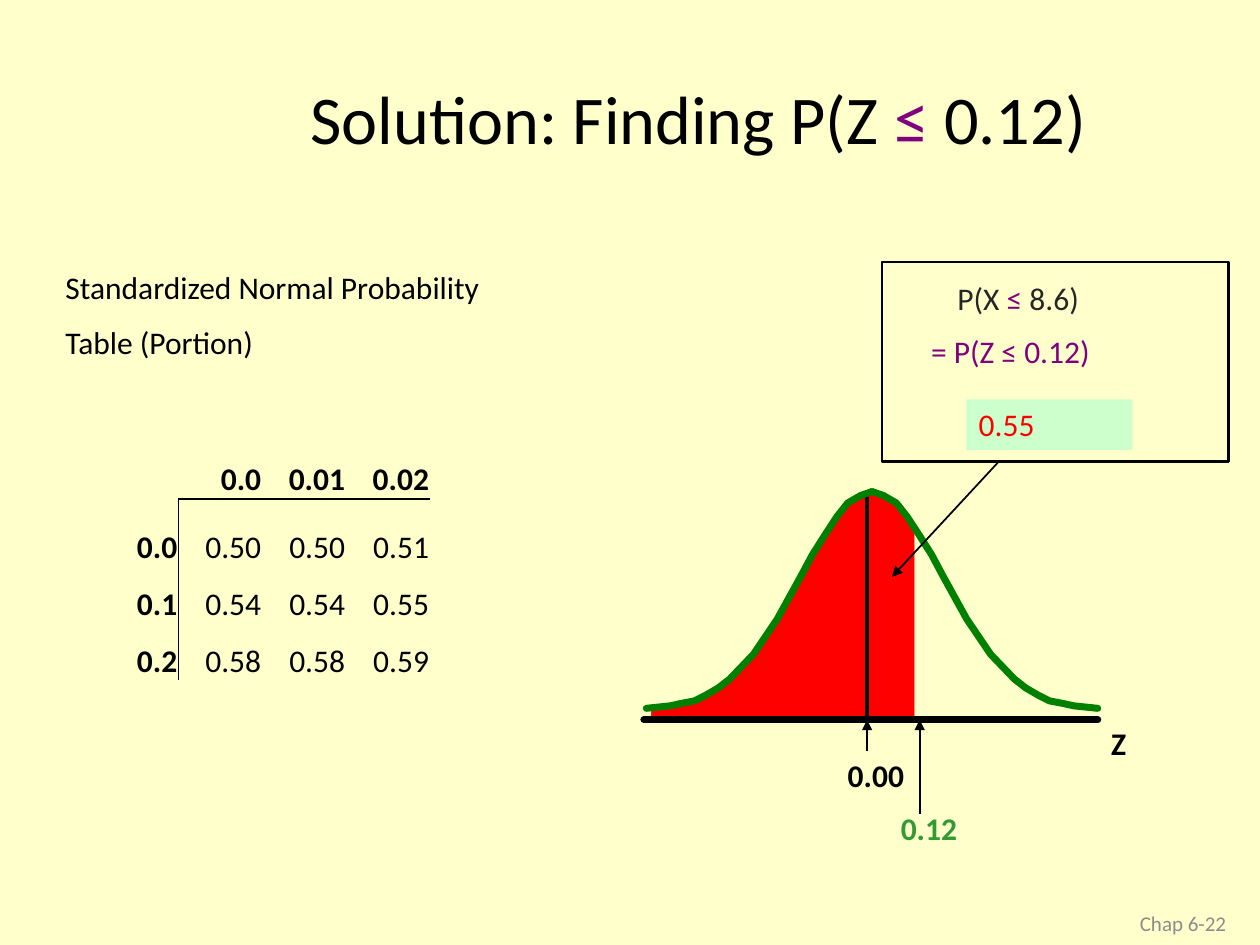
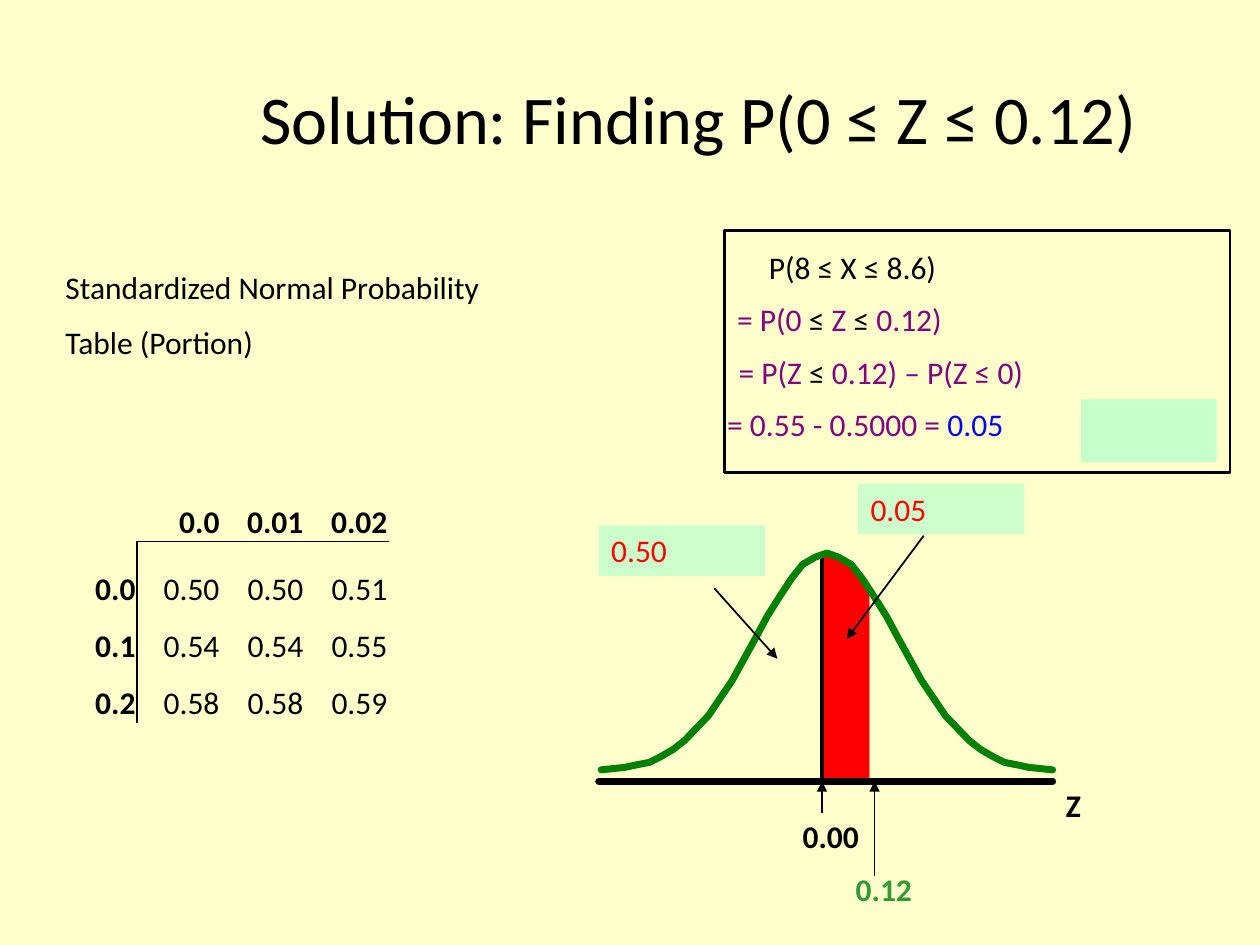
from dataclasses import dataclass

from lxml import etree
from pptx import Presentation
from pptx.dml.color import RGBColor
from pptx.enum.shapes import MSO_CONNECTOR, MSO_SHAPE
from pptx.enum.text import MSO_ANCHOR, PP_ALIGN
from pptx.oxml.ns import qn
from pptx.util import Cm, Pt

LEFT, CENTER, RIGHT = PP_ALIGN.LEFT, PP_ALIGN.CENTER, PP_ALIGN.RIGHT
TOP, MIDDLE, BOTTOM = MSO_ANCHOR.TOP, MSO_ANCHOR.MIDDLE, MSO_ANCHOR.BOTTOM
RECTANGLE, STRAIGHT = MSO_SHAPE.RECTANGLE, MSO_CONNECTOR.STRAIGHT
TITLE_ONLY = 5
NO_STYLE_NO_GRID = "{2D5ABB26-0587-4C30-8999-92F81FD0307C}"


@dataclass(frozen=True)
class Theme:
    font: str = "Calibri"
    paper: str = "FFFFCC"
    ink: str = "000000"
    soft_ink: str = "262626"
    footer: str = "8C8C8C"
    purple: str = "800080"
    blue: str = "0000FF"
    red: str = "FF0000"
    curve: str = "008000"
    bound: str = "339933"
    mint: str = "CCFFCC"
    pale_mint: str = "C6FECB"
    title_size: int = 39
    symbol_size: int = 40
    body_size: int = 18
    footer_size: int = 12


THEME = Theme()

# Rising half of the bell, in cm from the top left of the curve
RISING_HALF = [(0, 4.37), (0.48, 4.32), (0.71, 4.27), (0.97, 4.22),
               (1.19, 4.11), (1.45, 3.96), (1.68, 3.78), (2.16, 3.28),
               (2.64, 2.57), (3.12, 1.7), (3.35, 1.27), (3.61, 0.86),
               (3.84, 0.51), (4.06, 0.23), (4.32, 0.08), (4.55, 0)]
BELL_WIDTH = 9.1
FALLING_HALF = [(BELL_WIDTH - x, y) for x, y in reversed(RISING_HALF)]
BELL = RISING_HALF + FALLING_HALF[1:]
AXIS_Y = 4.6
MEAN_X = 4.45
BOUND_X = 5.4

PORTION = [["", "0.0", "0.01", "0.02"],
           ["0.0", "0.50", "0.50", "0.51"],
           ["0.1", "0.54", "0.54", "0.55"],
           ["0.2", "0.58", "0.58", "0.59"]]


def rgb(color):
    return RGBColor.from_string(color)


def write(paragraph, runs, size=THEME.body_size, bold=False, align=LEFT):
    """Fill a paragraph with (text, colour[, size]) runs."""
    paragraph.alignment = align
    for text, color, *own_size in runs:
        run = paragraph.add_run()
        run.text = text
        run.font.name = THEME.font
        run.font.size = Pt(own_size[0] if own_size else size)
        run.font.bold = bold
        run.font.color.rgb = rgb(color)


def add_text(slide, box, runs, anchor=TOP, **style):
    frame = slide.shapes.add_textbox(*map(Cm, box)).text_frame
    frame.word_wrap = True
    frame.vertical_anchor = anchor
    write(frame.paragraphs[0], runs, **style)
    return frame


def add_panel(slide, box, fill=None, border=None):
    panel = slide.shapes.add_shape(RECTANGLE, *map(Cm, box))
    panel.shadow.inherit = False
    if fill:
        panel.fill.solid()
        panel.fill.fore_color.rgb = rgb(fill)
    else:
        panel.fill.background()
    if border:
        panel.line.color.rgb = rgb(border)
        panel.line.width = Pt(1.5)
    else:
        panel.line.fill.background()
    return panel


def add_answer(slide, left, top, value):
    """Green tag that holds one probability."""
    frame = add_panel(slide, (left, top, 3.35, 1.02), THEME.mint).text_frame
    frame.vertical_anchor = TOP
    write(frame.paragraphs[0], [(value, THEME.red)])


def add_line(slide, start, end, width=1, arrow=False):
    line = slide.shapes.add_connector(STRAIGHT, *map(Cm, start + end))
    line.line.color.rgb = rgb(THEME.ink)
    line.line.width = Pt(width)
    outline = line.get_or_add_ln()
    outline.set("cap", "flat" if arrow else "rnd")
    if arrow:
        etree.SubElement(outline, qn("a:tailEnd"), type="triangle")
    etree.SubElement(line._element.spPr, qn("a:effectLst"))


def add_outline(slide, points, color, width, filled=False):
    start, *rest = [(Cm(x), Cm(y)) for x, y in points]
    builder = slide.shapes.build_freeform(*start)
    builder.add_line_segments(rest, close=filled)
    outline = builder.convert_to_shape()
    outline.shadow.inherit = False
    if filled:
        outline.fill.solid()
        outline.fill.fore_color.rgb = rgb(color)
    else:
        outline.fill.background()
    outline.line.color.rgb = rgb(color)
    outline.line.width = Pt(width)
    outline.get_or_add_ln().set("cap", "rnd")


def bell_height(x):
    """Interpolate the curve at x."""
    for (x0, y0), (x1, y1) in zip(BELL, BELL[1:]):
        if x0 <= x <= x1:
            return y0 + (y1 - y0) * (x - x0) / (x1 - x0)


def add_bell(slide, left, top, shaded_from):
    """Normal curve with the area from shaded_from to the bound in red."""
    def place(x, y):
        return left + x, top + y

    inner = [(x, y) for x, y in BELL if shaded_from < x < BOUND_X]
    area = [(shaded_from, AXIS_Y), (shaded_from, bell_height(shaded_from)),
            *inner, (BOUND_X, bell_height(BOUND_X)), (BOUND_X, AXIS_Y)]
    add_outline(slide, [place(*p) for p in area], THEME.red, 0.25, True)
    add_line(slide, place(MEAN_X, 0.13), place(MEAN_X, AXIS_Y), 2.5)
    for half in (RISING_HALF, FALLING_HALF):
        add_outline(slide, [place(*p) for p in half], THEME.curve, 4)
    add_line(slide, place(-0.05, AXIS_Y), place(BELL_WIDTH, AXIS_Y), 4)

    for x, drop in ((MEAN_X, 0.63), (5.51, 1.9)):
        add_line(slide, place(x, AXIS_Y + drop), place(x, AXIS_Y), arrow=True)
    for label, x, y, width, color in (("Z", 9.12, 4.57, 1.06, THEME.ink),
                                      ("0.00", 3.81, 5.2, 1.73, THEME.ink),
                                      ("0.12", 4.88, 6.27, 1.73, THEME.bound)):
        add_text(slide, (*place(x, y), width, 1.02), [(label, color)], bold=True)


def add_solution(slide, box, steps):
    """Framed working; each step is (indent, width, runs)."""
    left, top = box[:2]
    for row, (indent, width, runs) in enumerate(steps):
        add_text(slide, (left + indent, top + 0.22 + 1.06 * row, width, 1.02), runs)
    add_panel(slide, box, border=THEME.ink)


def add_cell_border(cell, side):
    border = etree.SubElement(cell._tc.get_or_add_tcPr(), qn("a:" + side),
                              w=str(Pt(1)))
    fill = etree.SubElement(border, qn("a:solidFill"))
    etree.SubElement(fill, qn("a:srgbClr"), val=THEME.ink)


def add_portion_table(slide, left, top):
    rows, columns = len(PORTION), len(PORTION[0])
    frame = slide.shapes.add_table(rows, columns, Cm(left), Cm(top),
                                   Cm(6.77), Cm(4.83))
    table = frame.table
    table.first_row = table.horz_banding = False
    table._tbl.tblPr.find(qn("a:tableStyleId")).text = NO_STYLE_NO_GRID
    for row, height in zip(table.rows, (1.17, 1.36, 1.15, 1.15)):
        row.height = Cm(height)
    for r, values in enumerate(PORTION):
        for c, value in enumerate(values):
            cell = table.cell(r, c)
            if r == 0 and c > 0:
                add_cell_border(cell, "lnB")
            if c == 0 and r > 0:
                add_cell_border(cell, "lnR")
            cell.fill.background()
            cell.vertical_anchor = BOTTOM
            cell.margin_left = cell.margin_right = cell.margin_top = Cm(0.03)
            cell.margin_bottom = 0
            if value:
                write(cell.text_frame.paragraphs[0], [(value, THEME.ink)],
                      bold=r == 0 or c == 0, align=RIGHT)


def add_table_heading(slide):
    frame = add_text(slide, (1.07, 5.28, 12.7, 2.18),
                     [("Standardized Normal Probability", THEME.ink)])
    second_line = frame.add_paragraph()
    second_line.space_before = Pt(10)
    write(second_line, [("Table (Portion)", THEME.ink)])


def start_slide(prs, title_runs):
    """Slide with the shared title and table heading."""
    slide = prs.slides.add_slide(prs.slide_layouts[TITLE_ONLY])
    title = slide.shapes.title
    title.left, title.top, title.width, title.height = map(
        Cm, (3.18, 0.84, 21.79, 3.18))
    title.text_frame.vertical_anchor = MIDDLE
    paragraph = title.text_frame.paragraphs[0]
    paragraph.line_spacing = 0.95
    write(paragraph, title_runs, size=THEME.title_size, align=CENTER)
    add_table_heading(slide)
    return slide


def build_cumulative_slide(prs):
    ink, purple = THEME.ink, THEME.purple
    slide = start_slide(prs, [("Solution: Finding P(Z ", ink),
                              ("≤", purple, THEME.symbol_size),
                              (" 0.12)", ink)])
    add_bell(slide, 13.03, 9.91, shaded_from=0.1)
    add_answer(slide, 19.48, 8.05, "0.55")
    add_line(slide, (20.12, 9.32), (17.98, 11.63), arrow=True)
    add_solution(slide, (17.78, 5.28, 6.99, 4.02), [
        (1.27, 3, [("P(X ", THEME.soft_ink), ("≤ ", purple),
                   ("8.6)", THEME.soft_ink)]),
        (0.74, 3.76, [("= P(Z ≤ 0.12)", purple)])])
    add_portion_table(slide, 1.91, 8.89)
    add_text(slide, (19.05, 18.16, 5.92, 0.89), [("Chap 6-22", THEME.footer)],
             anchor=MIDDLE, size=THEME.footer_size, align=RIGHT)


def build_interval_slide(prs):
    ink, purple = THEME.ink, THEME.purple
    at_most = ("≤", ink, THEME.symbol_size)
    slide = start_slide(prs, [("Solution: Finding P(0 ", ink), at_most,
                              (" Z ", ink), at_most, (" 0.12)", ink)])
    add_panel(slide, (21.79, 8.05, 2.74, 1.27), THEME.pale_mint)
    add_bell(slide, 12.12, 11.15, shaded_from=MEAN_X)
    add_answer(slide, 17.3, 9.75, "0.05")
    add_answer(slide, 12.07, 10.59, "0.50")
    add_line(slide, (18.62, 10.8), (17.07, 12.88), arrow=True)
    add_line(slide, (14.4, 11.86), (15.67, 13.28), arrow=True)
    add_solution(slide, (14.61, 4.65, 10.19, 4.88), [
        (0.64, 3.94, [("P(8 ≤ X ≤ 8.6)", ink)]),
        (0, 4.7, [("= P(0 ", purple), ("≤ ", ink), ("Z ", purple),
                  ("≤ ", ink), ("0.12)", purple)]),
        (0.03, 6.32, [("= P(Z ", purple), ("≤ ", ink),
                      ("0.12) – P(Z ≤ 0)", purple)]),
        (-0.2, 10.59, [("= 0.55 - 0.5000 = ", purple), ("0.05", THEME.blue)])])
    add_portion_table(slide, 1.07, 9.75)


def main():
    prs = Presentation()
    prs.slide_width, prs.slide_height = Cm(25.4), Cm(19.05)
    paper = prs.slide_master.background.fill
    paper.solid()
    paper.fore_color.rgb = rgb(THEME.paper)
    build_cumulative_slide(prs)
    build_interval_slide(prs)
    prs.save("out.pptx")


if __name__ == "__main__":
    main()
